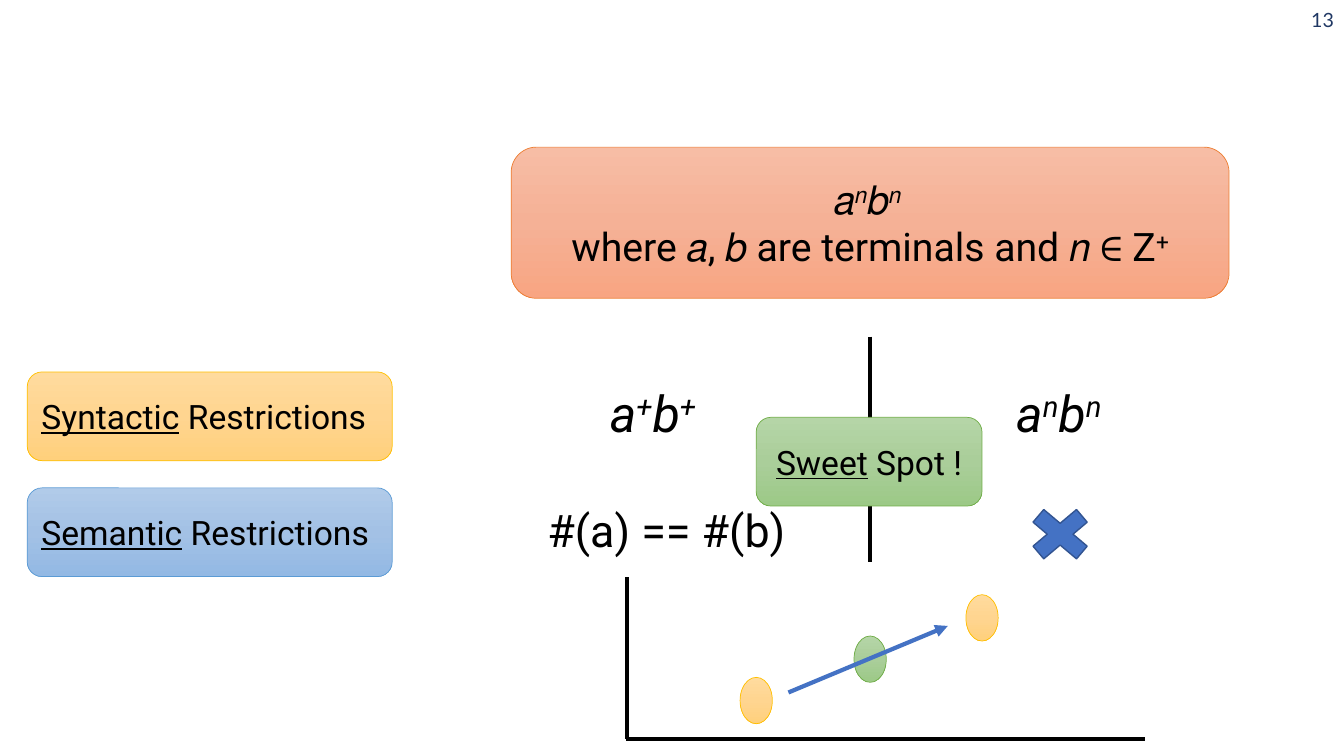
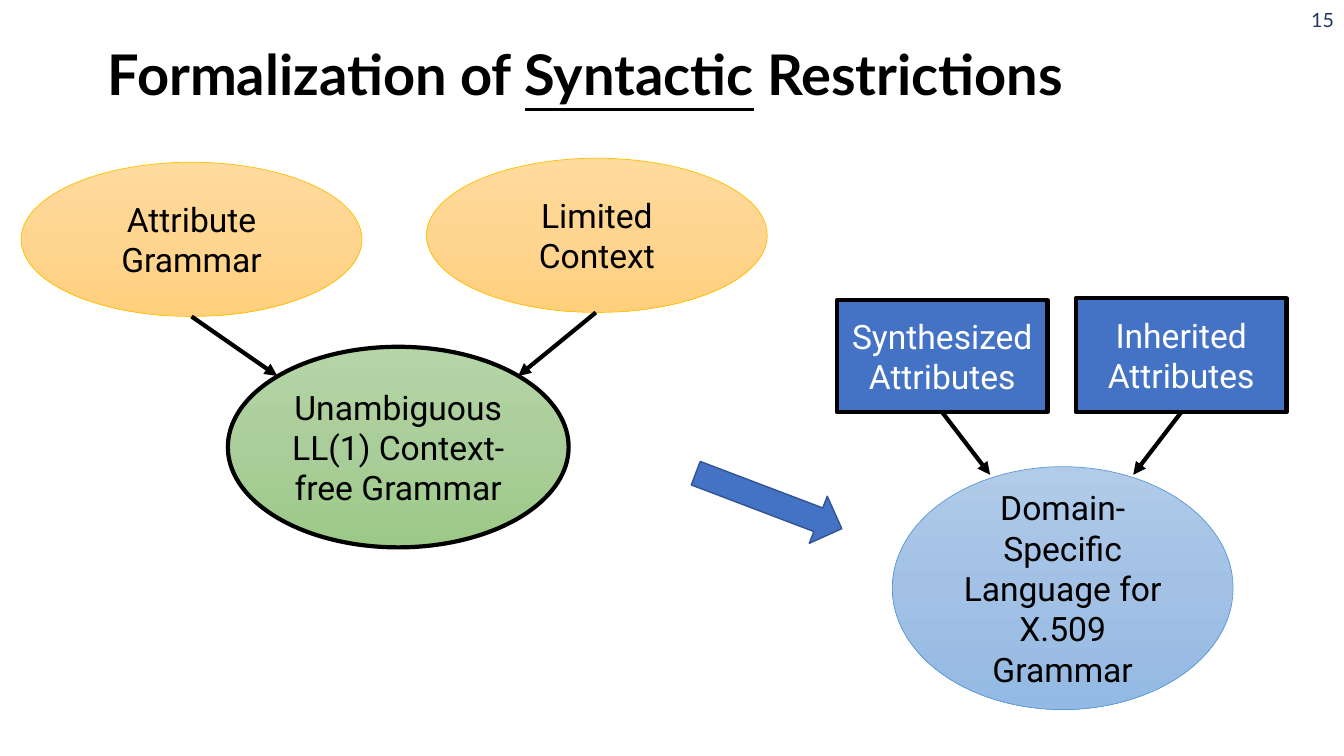
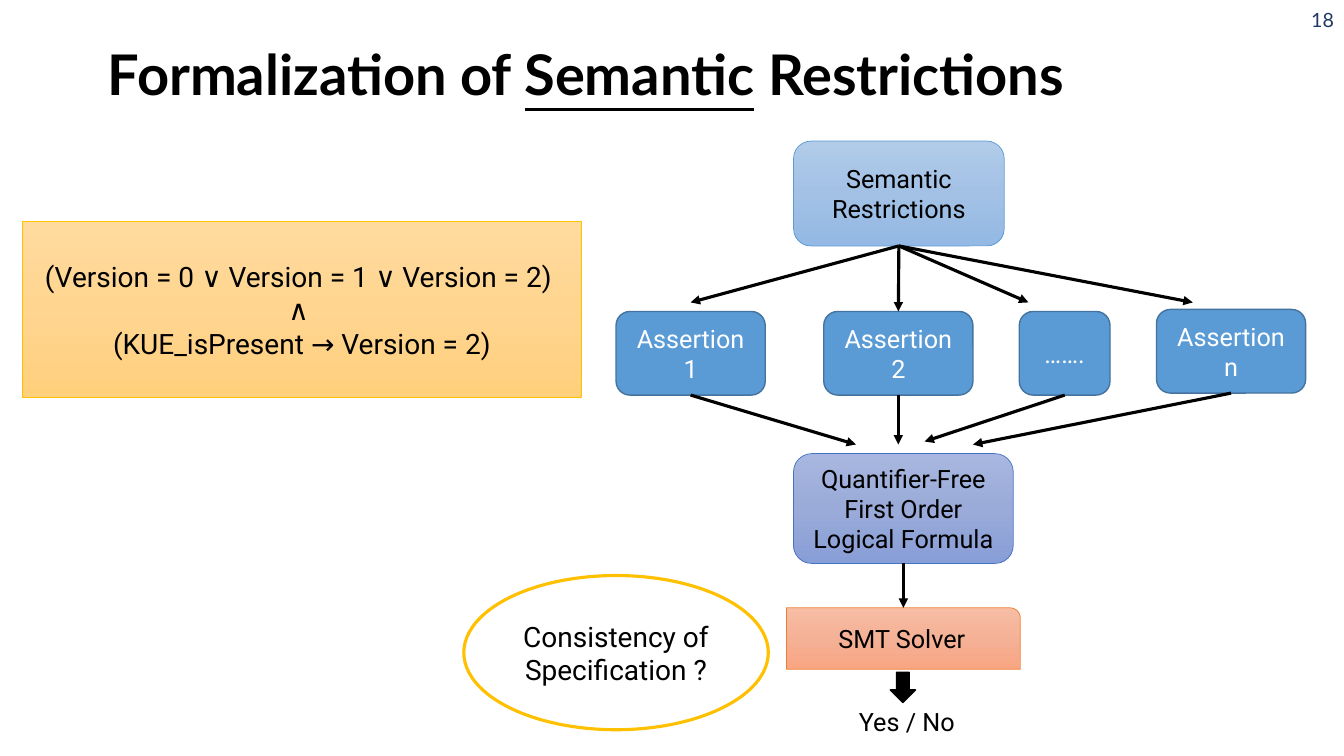
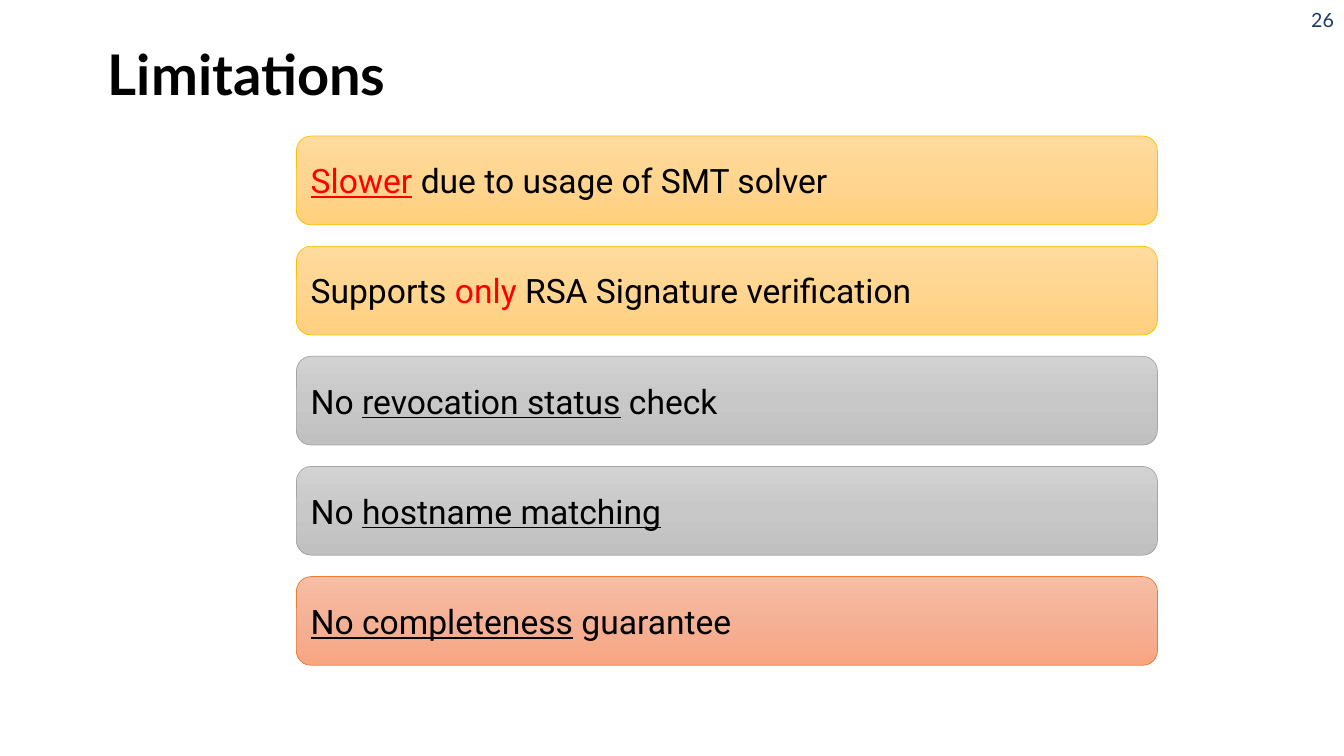
from copy import deepcopy

from lxml import etree
from pptx import Presentation
from pptx.dml.color import RGBColor
from pptx.enum.shapes import MSO_CONNECTOR, MSO_SHAPE
from pptx.enum.text import MSO_ANCHOR, MSO_AUTO_SIZE, PP_ALIGN
from pptx.oxml.ns import qn
from pptx.util import Pt

PX = 9144
SLIDE_SIZE = (1333, 750)
TITLE_ONLY, BLANK = 5, 6
TOP, BOTTOM = 0, 2
LEFT, CENTER, RIGHT = PP_ALIGN.LEFT, PP_ALIGN.CENTER, PP_ALIGN.RIGHT
MIDDLE, UPPER = MSO_ANCHOR.MIDDLE, MSO_ANCHOR.TOP
FIXED, GROW = MSO_AUTO_SIZE.NONE, MSO_AUTO_SIZE.SHAPE_TO_FIT_TEXT
STRAIGHT = MSO_CONNECTOR.STRAIGHT
RECT, ROUND, ONE_ROUND, OVAL, CROSS, ARROW_RIGHT, ARROW_DOWN = (
    MSO_SHAPE.RECTANGLE, MSO_SHAPE.ROUNDED_RECTANGLE, MSO_SHAPE.ROUND_1_RECTANGLE,
    MSO_SHAPE.OVAL, MSO_SHAPE.MATH_MULTIPLY, MSO_SHAPE.RIGHT_ARROW, MSO_SHAPE.DOWN_ARROW)

COLORS = {
    "black": "000000", "white": "FFFFFF", "red": "FF0000", "navy": "203864",
    "blue": "4472C4", "blue edge": "325491", "sky": "5B9BD5", "sky edge": "43739E",
    "gold": "FFC000", "green": "70AD47", "orange": "ED7D31", "gray": "A5A5A5",
}
GRADIENTS = {
    "gold": ("FFDB9E", "FFD590", "FFD07C"),
    "sky": ("B1CBE9", "A3C1E5", "93B9E4"),
    "green": ("B5D5A7", "AACE9A", "9CC987"),
    "orange": ("F7BDA5", "F5B196", "F8A582"),
    "gray": ("D2D2D2", "C8C8C8", "C0C0C0"),
    "blue": ("A8B7DF", "9AABD9", "889ED7"),
}
STYLES = {
    **{name: (stops, name, 0.5, "black") for name, stops in GRADIENTS.items()},
    "green outlined": (GRADIENTS["green"], "black", 3, "black"),
    "solid blue": ("blue", "blue edge", 1, "white"),
    "attribute": ("blue", "black", 3, "white"),
    "assertion": ("sky", "sky edge", 1, "white"),
    "question": ("white", "gold", 2.25, "black"),
    "solid black": ("black", "black", 1, "white"),
}
MARKS = {
    "underlined": {"underline": True},
    "italic": {"italic": True},
    "red": {"color": "red"},
    "red underlined": {"color": "red", "underline": True},
    "raised": {"raised": True},
    "italic raised": {"italic": True, "raised": True},
}

LANGUAGE = [
    ["𝑎", ("𝑛", "raised"), "𝑏", ("𝑛 ", "raised")],
    ["where 𝑎, 𝑏 are terminals and 𝑛 ∈ Z", ("+", "raised")],
]
RESTRICTIONS = [("Syntactic", "gold", 369), ("Semantic", "sky", 484)]
EXPRESSIONS = [
    ((595, 374, 112, 71), 36, [[("a", "italic"), ("+", "italic raised"),
                               ("b", "italic"), ("+", "italic raised")]]),
    ((533, 494, 259, 64), 32, [["#(a) == #(b)"]]),
    ((998, 374, 111, 71), 36, [[("a", "italic"), ("n", "italic raised"),
                               ("b", "italic"), ("n", "italic raised")]]),
]
PLAIN_LINES = [((863, 334), (863, 558)), ((621, 733), (1136, 733)), ((622, 733), (622, 572))]
MARKER_SIZE = (32, 46)
MARKERS = [("green", 847, 631), ("gold", 734, 672), ("gold", 958, 590)]

SYNTACTIC_OVALS = [
    ("gold", (21, 161, 338, 153), [["Attribute Grammar"]]),
    ("gold", (423, 157, 338, 153), [["Limited Context"]]),
    ("green outlined", (226, 344, 338, 199), [["Unambiguous LL(1) Context-free Grammar"]]),
    ("sky", (885, 463, 338, 241), [["Domain-Specific Language for"], ["X.509 Grammar"]]),
]
GRAMMAR_ARROWS = [((190, 314), (275, 373)), ((591, 310), (514, 373))]
ATTRIBUTES = [
    ((830, 298, 209, 111), [["Synthesized Attributes"]], (982, 471)),
    ((1067, 296, 209, 113), [["Inherited"], ["Attributes"]], (1124, 471)),
]

VERSION_RULE = [
    ["(Version = 0 ∨ Version = 1 ∨ Version = 2) "],
    ["∧ "],
    ["(KUE_isPresent → Version = 2)"],
]
ASSERTIONS = [
    ("Assertion 1", (611, 309, 148, 83), (685, 300), (849, 441)),
    ("Assertion 2", (817, 309, 148, 83), None, (891, 441)),
    ("…….", (1011, 309, 90, 83), (1020, 300), (917, 438)),
    ("Assertion n", (1147, 307, 148, 83), (1183, 300), (965, 441)),
]

LIMITATIONS = [
    ("gold", [("Slower", "red underlined"), " due to usage of SMT solver"]),
    ("gold", ["Supports ", ("only", "red"), " RSA Signature verification"]),
    ("gray", ["No ", ("revocation status", "underlined"), " check"]),
    ("gray", ["No ", ("hostname matching", "underlined")]),
    ("orange", [("No completeness", "underlined"), " guarantee"]),
]
LIMITATION_TOP, LIMITATION_PITCH = 135, 109.25


def rgb(name):
    return RGBColor.from_string(COLORS.get(name, name))


def emu(lengths):
    return [round(length * PX) for length in lengths]


def write(frame, paragraphs, size, color="black", font="Roboto", align=CENTER,
          spacing=None, bold=False, **frame_format):
    settings = {"word_wrap": True, "auto_size": FIXED, "vertical_anchor": MIDDLE, **frame_format}
    for attribute, value in settings.items():
        setattr(frame, attribute, value)
    for index, runs in enumerate(paragraphs):
        paragraph = frame.paragraphs[0] if index == 0 else frame.add_paragraph()
        paragraph.alignment = align
        paragraph.line_spacing = spacing
        for item in runs:
            text, mark = (item, None) if isinstance(item, str) else item
            values = {"name": font, "size": Pt(size), "bold": bold, **MARKS.get(mark, {})}
            run = paragraph.add_run()
            run.text = text
            run.font.color.rgb = rgb(values.pop("color", color))
            if values.pop("raised", False):
                run.font._element.set("baseline", "30000")
            for attribute, value in values.items():
                setattr(run.font, attribute, value)


def add_text(slide, box, paragraphs, size, **text_format):
    write(slide.shapes.add_textbox(*emu(box)).text_frame, paragraphs, size, **text_format)


def paint(fill, paint_value):
    if isinstance(paint_value, str):
        fill.solid()
        fill.fore_color.rgb = rgb(paint_value)
        return
    fill.gradient()
    fill.gradient_angle = 270
    first = fill.gradient_stops[0]._gs
    first.addnext(deepcopy(first))
    for index, (stop, color) in enumerate(zip(fill.gradient_stops, paint_value)):
        stop.position = index / 2
        stop.color.rgb = rgb(color)


def add_figure(slide, geometry, style, box, paragraphs=(), size=24, align=CENTER):
    fill, edge, width, color = STYLES[style]
    figure = slide.shapes.add_shape(geometry, *emu(box))
    figure.shadow.inherit = False
    paint(figure.fill, fill)
    figure.line.color.rgb = rgb(edge)
    figure.line.width = Pt(width)
    write(figure.text_frame, paragraphs, size, color, align=align)
    return figure


def bottom_of(figure):
    return ((figure.left + figure.width / 2) / PX, (figure.top + figure.height) / PX)


def top_of(figure):
    return ((figure.left + figure.width / 2) / PX, figure.top / PX)


def add_line(slide, start, end, width=3, color="black", arrow=True, source=None, target=None):
    line = slide.shapes.add_connector(STRAIGHT, *emu((*start, *end)))
    line.line.color.rgb = rgb(color)
    line.line.width = Pt(width)
    if arrow:
        etree.SubElement(line.line._get_or_add_ln(), qn("a:tailEnd"), type="triangle")
    etree.SubElement(line._element.spPr, qn("a:effectLst"))
    if source is not None:
        line.begin_connect(source, BOTTOM)
    if target is not None:
        line.end_connect(target, TOP)


def link(slide, source, end=None, target=None):
    end = end or top_of(target)
    add_line(slide, bottom_of(source), end, 2.25, source=source, target=target)


def new_slide(deck, number, title=None):
    slide = deck.slides.add_slide(deck.slide_layouts[TITLE_ONLY if title else BLANK])
    add_text(slide, (1033, 0, 300, 40), [[number]], 14, color="navy", font="Lato", align=RIGHT)
    if title:
        heading = slide.shapes.title
        heading.left, heading.top, heading.width, heading.height = emu((97, 0, 1140, 153))
        write(heading.text_frame, [title], 40, font="Lato", align=LEFT, spacing=0.9, bold=True)
    return slide


def build_sweet_spot(deck):
    slide = new_slide(deck, "13")
    add_figure(slide, ROUND, "orange", (507, 146, 712, 150), LANGUAGE, 28)
    for word, style, top in RESTRICTIONS:
        add_figure(slide, ROUND, style, (27, top, 362, 88),
                   [[(word, "underlined"), " Restrictions"]], align=LEFT)
    for box, size, expression in EXPRESSIONS:
        add_text(slide, box, expression, size, align=LEFT, word_wrap=False,
                 auto_size=GROW, vertical_anchor=UPPER)
    for start, end in PLAIN_LINES:
        add_line(slide, start, end, arrow=False)
    add_figure(slide, CROSS, "solid blue", (1010, 495, 83, 70))
    add_figure(slide, ROUND, "green", (750, 414, 224, 88),
               [[("Sweet", "underlined"), " Spot !"]])
    for style, left, top in MARKERS:
        add_figure(slide, OVAL, style, (left, top, *MARKER_SIZE))
    add_line(slide, (782, 687), (940, 621), color="blue")


def build_syntactic(deck):
    slide = new_slide(deck, "15", ["Formalization of ", ("Syntactic", "underlined"), " Restrictions"])
    for style, box, label in SYNTACTIC_OVALS:
        add_figure(slide, OVAL, style, box, label)
    for start, end in GRAMMAR_ARROWS:
        add_line(slide, start, end)
    add_figure(slide, ARROW_RIGHT, "solid blue", (685, 472, 155, 50)).rotation = 20.8
    for box, label, end in ATTRIBUTES:
        attribute = add_figure(slide, RECT, "attribute", box, label)
        add_line(slide, bottom_of(attribute), end, source=attribute)


def build_semantic(deck):
    slide = new_slide(deck, "18", ["Formalization of ", ("Semantic", "underlined"), " Restrictions"])
    restrictions = add_figure(slide, ROUND, "sky", (787, 140, 209, 104),
                              [["Semantic"], ["Restrictions"]], 18)
    formula = add_figure(slide, ROUND, "blue", (787, 450, 218, 109),
                         [["Quantifier-Free First Order Logical Formula"]], 18)
    for label, box, entry, exit_point in ASSERTIONS:
        assertion = add_figure(slide, ROUND, "assertion", box, [[label]], 18)
        link(slide, restrictions, entry, None if entry else assertion)
        link(slide, assertion, exit_point)
    add_figure(slide, OVAL, "question", (460, 571, 302, 153),
               [["Consistency of Specification ?"]], 20)
    solver = add_figure(slide, ONE_ROUND, "orange", (780, 603, 232, 61), [["SMT Solver"]], 18)
    add_text(slide, (842, 696, 117, 40), [["Yes / No"]], 18, align=LEFT, word_wrap=False,
             auto_size=GROW, vertical_anchor=UPPER)
    add_figure(slide, ARROW_DOWN, "solid black", (883, 667, 25, 30))
    link(slide, formula, target=solver)
    add_figure(slide, RECT, "gold", (22, 220, 555, 174), VERSION_RULE, 20)


def build_limitations(deck):
    slide = new_slide(deck, "26", ["Limitations"])
    for index, (style, runs) in enumerate(LIMITATIONS):
        top = LIMITATION_TOP + index * LIMITATION_PITCH
        add_figure(slide, ROUND, style, (294, top, 854, 88), [runs], align=LEFT)


def main():
    deck = Presentation()
    deck.slide_width, deck.slide_height = emu(SLIDE_SIZE)
    for build in (build_sweet_spot, build_syntactic, build_semantic, build_limitations):
        build(deck)
    deck.save("out.pptx")


if __name__ == "__main__":
    main()
